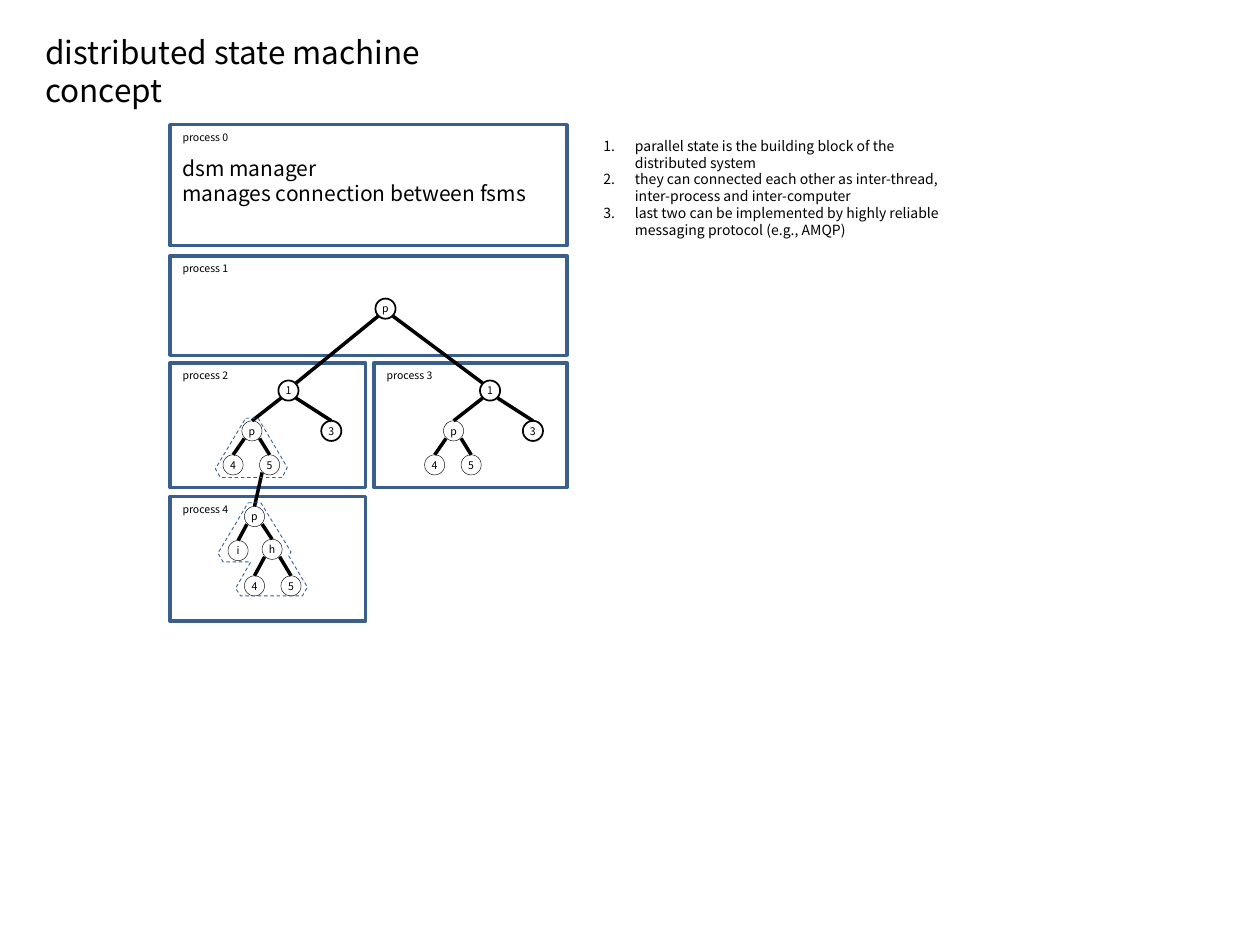
from lxml import etree
from pptx import Presentation
from pptx.dml.color import RGBColor
from pptx.enum.dml import MSO_LINE
from pptx.enum.shapes import MSO_CONNECTOR, MSO_SHAPE
from pptx.enum.text import MSO_ANCHOR, MSO_AUTO_SIZE, PP_ALIGN
from pptx.oxml.ns import qn
from pptx.util import Inches, Pt

BLACK = RGBColor(0x00, 0x00, 0x00)
WHITE = RGBColor(0xFF, 0xFF, 0xFF)
BLUE = RGBColor(0x3A, 0x5F, 0x8C)
FONT = "Noto Sans CJK KR"
RECTANGLE, ELLIPSE = MSO_SHAPE.RECTANGLE, MSO_SHAPE.OVAL
STRAIGHT, DASH = MSO_CONNECTOR.STRAIGHT, MSO_LINE.DASH
LEFT, CENTER = PP_ALIGN.LEFT, PP_ALIGN.CENTER
TOP, MIDDLE = MSO_ANCHOR.TOP, MSO_ANCHOR.MIDDLE
NO_AUTOFIT = MSO_AUTO_SIZE.NONE

NODE_SIZE = 0.16
DIAGONAL = 0.06  # offset from a node's centre to its rim at 45 degrees
RIM = {
    "top": (0, -NODE_SIZE / 2),
    "top left": (-DIAGONAL, -DIAGONAL),
    "top right": (DIAGONAL, -DIAGONAL),
    "bottom left": (-DIAGONAL, DIAGONAL),
    "bottom right": (DIAGONAL, DIAGONAL),
}


def format_paragraph(paragraph, size, alignment=LEFT):
    paragraph.alignment = alignment
    paragraph.font.size = Pt(size)
    paragraph.font.name = FONT
    paragraph.font.color.rgb = BLACK


def rim_point(node, side):
    center_x, center_y = nodes[node][1:3]
    offset_x, offset_y = RIM[side]
    return Inches(center_x + offset_x), Inches(center_y + offset_y)


presentation = Presentation()
presentation.slide_width = Inches(10)
presentation.slide_height = Inches(7.5)
slide = presentation.slides.add_slide(presentation.slide_layouts[5])
shapes = slide.shapes

# Title
title = shapes.title
title.left, title.top = Inches(0.26), Inches(0.21)
title.width, title.height = Inches(4.1), Inches(0.4)
title.text_frame.text = "distributed state machine concept"
title.text_frame.word_wrap = True
title.text_frame.auto_size = NO_AUTOFIT
title.text_frame.vertical_anchor = TOP
format_paragraph(title.text_frame.paragraphs[0], 18)

# Process boxes
processes = [
    (1.35, 0.99, 3.15, 0.96),
    (1.35, 2.03, 3.15, 0.79),
    (1.35, 2.88, 1.55, 0.99),
    (2.97, 2.88, 1.53, 0.99),
    (1.35, 3.94, 1.55, 0.99),
]
manager_lines = ["dsm manager", "manages connection between fsms"]
for number, bounds in enumerate(processes):
    box = shapes.add_shape(RECTANGLE, *map(Inches, bounds))
    box.shadow.inherit = False
    box.fill.background()
    box.line.color.rgb = BLUE
    box.line.width = Pt(2)
    text_frame = box.text_frame
    text_frame.vertical_anchor = TOP
    text_frame.text = f"process {number}"
    format_paragraph(text_frame.paragraphs[0], 6)
    if number == 0:
        for line in manager_lines:
            paragraph = text_frame.add_paragraph()
            paragraph.text = line
            format_paragraph(paragraph, 12)
        text_frame.paragraphs[1].space_before = Pt(7)

# State nodes: label, centre x, centre y, outline width
nodes = {
    "root": ("p", 3.06, 2.45, 1),
    "parent": ("p", 2.02, 4.1, 0.25),
    "i": ("i", 1.89, 4.37, 0.25),
    "h": ("h", 2.16, 4.36, 0.25),
    "h4": ("4", 2.02, 4.65, 0.25),
    "h5": ("5", 2.31, 4.65, 0.25),
}
edges = [
    ("root", "bottom left", "left 1", "top right"),
    ("root", "bottom right", "right 1", "top left"),
    ("left 5", "bottom left", "parent", "top"),
]
branches = [("parent", "i", "h"), ("h", "h4", "h5")]
for tree, x in [("left", 2.29), ("right", 3.89)]:
    nodes[f"{tree} 1"] = ("1", x, 3.1, 1)
    nodes[f"{tree} p"] = ("p", x - 0.29, 3.42, 0.25)
    nodes[f"{tree} 3"] = ("3", x + 0.34, 3.42, 1)
    nodes[f"{tree} 4"] = ("4", x - 0.44, 3.69, 0.25)
    nodes[f"{tree} 5"] = ("5", x - 0.15, 3.69, 0.25)
    branches.append((f"{tree} 1", f"{tree} p", f"{tree} 3"))
    branches.append((f"{tree} p", f"{tree} 4", f"{tree} 5"))
for parent, left_child, right_child in branches:
    edges.append((parent, "bottom left", left_child, "top"))
    edges.append((parent, "bottom right", right_child, "top"))

for label, x, y, width in nodes.values():
    node = shapes.add_shape(
        ELLIPSE, Inches(x - NODE_SIZE / 2), Inches(y - NODE_SIZE / 2),
        Inches(NODE_SIZE), Inches(NODE_SIZE))
    node.shadow.inherit = False
    node.fill.solid()
    node.fill.fore_color.rgb = WHITE
    node.line.color.rgb = BLACK
    node.line.width = Pt(width)
    text_frame = node.text_frame
    text_frame.margin_left = text_frame.margin_right = 0
    text_frame.margin_top = text_frame.margin_bottom = 0
    text_frame.word_wrap = False
    text_frame.vertical_anchor = MIDDLE
    text_frame.text = label
    format_paragraph(text_frame.paragraphs[0], 6, CENTER)

for start, start_side, end, end_side in edges:
    edge = shapes.add_connector(
        STRAIGHT, *rim_point(start, start_side), *rim_point(end, end_side))
    edge.line.color.rgb = BLACK
    edge.line.width = Pt(0)
    etree.SubElement(edge._element.spPr, qn("a:effectLst"))

# Dashed outlines around the connected sub-machines
outlines = [
    [(1.95, 3.32), (2.05, 3.32), (2.28, 3.71), (2.24, 3.79), (1.75, 3.79),
     (1.71, 3.72)],
    [(1.97, 3.99), (2.07, 3.99), (2.31, 4.38), (2.29, 4.41), (2.44, 4.66),
     (2.4, 4.73), (1.91, 4.73), (1.87, 4.67), (1.99, 4.46), (1.77, 4.46),
     (1.73, 4.39)],
]
for points in outlines:
    start, *others = [(Inches(x), Inches(y)) for x, y in points]
    builder = shapes.build_freeform(*start)
    builder.add_line_segments(others, close=True)
    outline = builder.convert_to_shape()
    outline.shadow.inherit = False
    outline.fill.background()
    outline.line.color.rgb = BLUE
    outline.line.width = Pt(0.5)
    outline.line.dash_style = DASH

# Numbered notes
notes = [
    "parallel state is the building block of the distributed system",
    "they can connected each other as inter-thread, inter-process and "
    "inter-computer",
    "last two can be implemented by highly reliable messaging protocol "
    "(e.g., AMQP)",
]
notes_box = shapes.add_textbox(
    Inches(4.69), Inches(1.04), Inches(3.11), Inches(0.91))
text_frame = notes_box.text_frame
text_frame.word_wrap = True
text_frame.text = "\n".join(notes)
for paragraph in text_frame.paragraphs:
    format_paragraph(paragraph, 8)
    properties = paragraph._p.get_or_add_pPr()
    properties.set("marL", str(Inches(0.25)))
    properties.set("indent", str(-Inches(0.25)))
    numbering = etree.Element(qn("a:buAutoNum"), type="arabicPeriod")
    properties.insert(0, numbering)

presentation.save("out.pptx")
